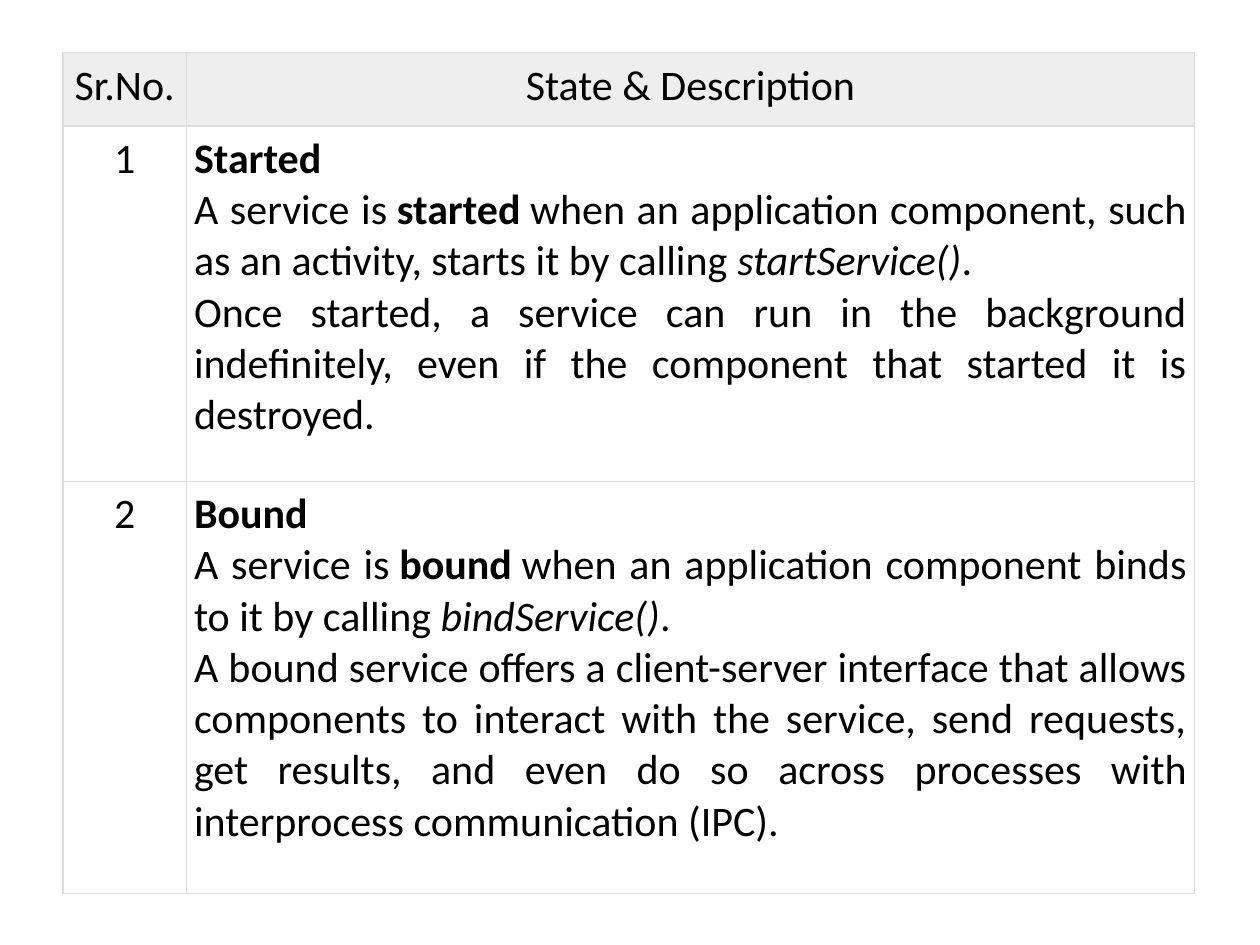
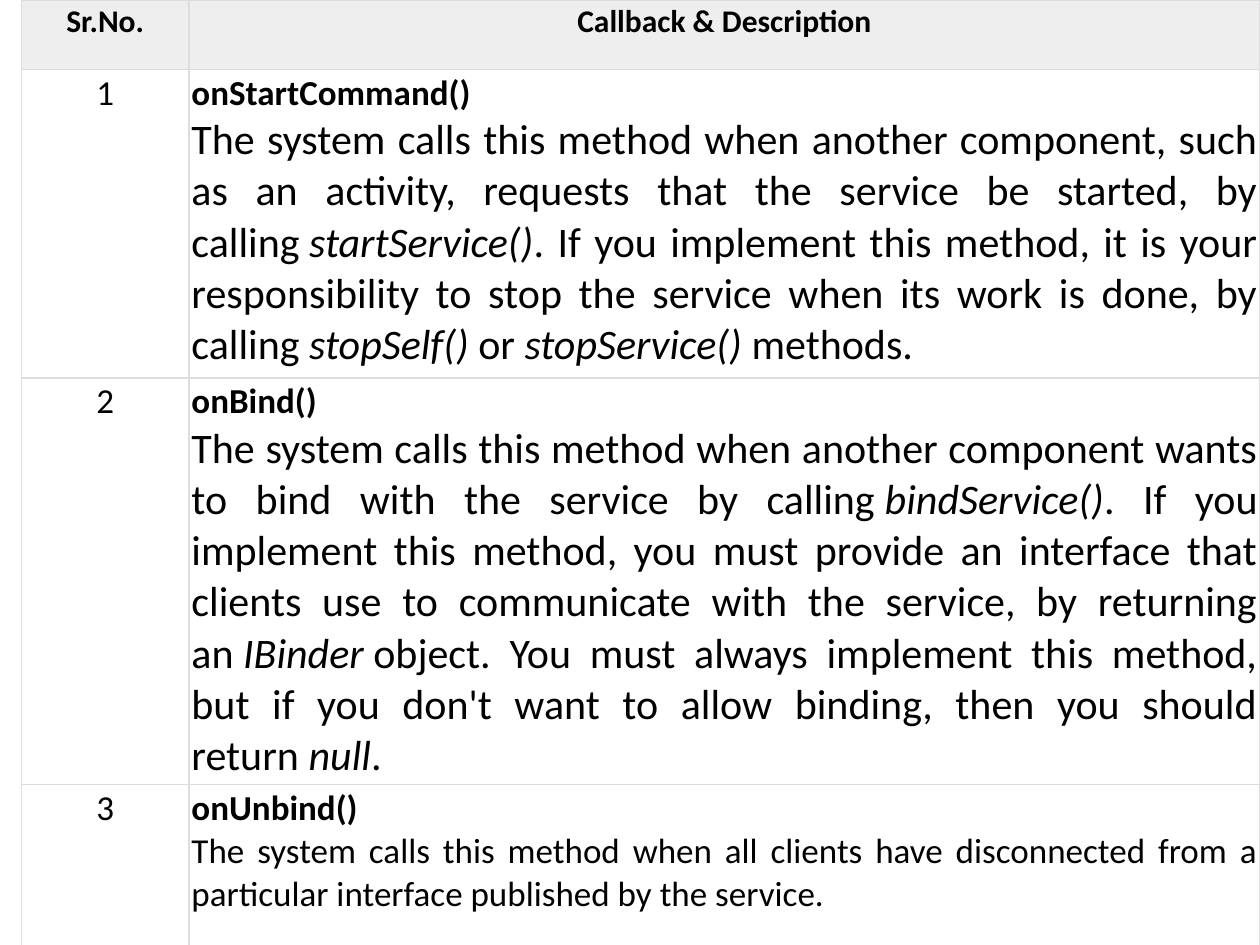
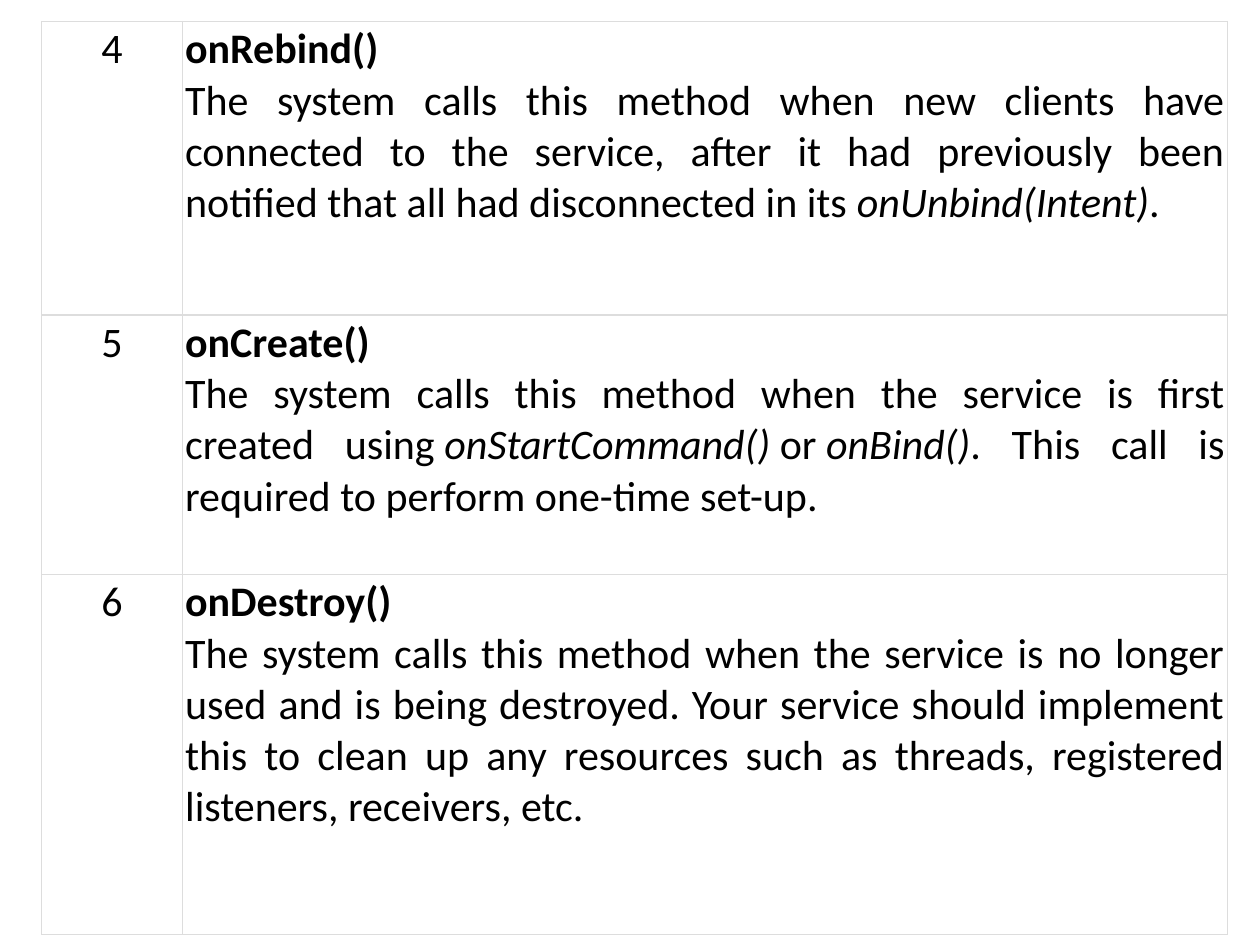
from pptx import Presentation
from pptx.dml.color import RGBColor
from pptx.enum.text import MSO_ANCHOR, PP_ALIGN
from pptx.oxml.ns import qn
from pptx.util import Inches, Pt
from lxml import etree

CENTER, JUSTIFY = PP_ALIGN.CENTER, PP_ALIGN.JUSTIFY
TOP = MSO_ANCHOR.TOP
BLACK = RGBColor(0x00, 0x00, 0x00)
HEADER_GRAY = RGBColor(0xEE, 0xEE, 0xEE)
BORDER_GRAY = RGBColor(0xDD, 0xDD, 0xDD)
FONT = "Calibri"
BORDER_WIDTH = Pt(0.75)
BLANK_LAYOUT = 6

STATES = [
    ("1", "Started", [
        "A service is\u00a0*started*\u00a0when an application component, such as an "
        "activity, starts it by calling\u00a0_startService()_. ",
        "Once started, a service can run in the background indefinitely, even if the "
        "component that started it is destroyed."], 24),
    ("2", "Bound", [
        "A service is\u00a0*bound*\u00a0when an application component binds to it by "
        "calling\u00a0_bindService()_. ",
        "A bound service offers a client-server interface that allows components to "
        "interact with the service, send requests, get results, and even do so across "
        "processes with interprocess communication (IPC)."], 24),
]

START_AND_BIND_CALLBACKS = [
    ("1", "onStartCommand()", [
        "The system calls this method when another component, such as an activity, "
        "requests that the service be started, by calling\u00a0_startService()_. If you "
        "implement this method, it is your responsibility to stop the service when its "
        "work is done, by calling\u00a0_stopSelf()_\u00a0or\u00a0_stopService()_"
        "\u00a0methods."], 24),
    ("2", "onBind()", [
        "The system calls this method when another component wants to bind with the "
        "service by calling\u00a0_bindService()_. If you implement this method, you must "
        "provide an interface that clients use to communicate with the service, by "
        "returning an\u00a0_IBinder_\u00a0object. You must always implement this method, "
        "but if you don't want to allow binding, then you should "
        "return\u00a0_null_."], 24),
    ("3", "onUnbind()", [
        "The system calls this method when all clients have disconnected from a "
        "particular interface published by the service."], 20),
]

LIFECYCLE_CALLBACKS = [
    ("4", "onRebind()", [
        "The system calls this method when new clients have connected to the service, "
        "after it had previously been notified that all had disconnected in "
        "its\u00a0_onUnbind(Intent)_."], 24),
    ("5", "onCreate()", [
        "The system calls this method when the service is first created "
        "using\u00a0_onStartCommand()_\u00a0or\u00a0_onBind()_. This call is required to "
        "perform one-time set-up."], 24),
    ("6", "onDestroy()", [
        "The system calls this method when the service is no longer used and is being "
        "destroyed. Your service should implement this to clean up any resources such as "
        "threads, registered listeners, receivers, etc."], 24),
]


def set_attributes(target, values):
    for name, value in values.items():
        setattr(target, name, value)


def add_run(paragraph, text, size, bold, italic):
    run = paragraph.add_run()
    run.text = text
    set_attributes(run.font, {"name": FONT, "size": Pt(size), "bold": bold, "italic": italic})
    run.font.color.rgb = BLACK


def write_marked_text(paragraph, text, size):
    for bold_index, piece in enumerate(text.split("*")):
        for italic_index, part in enumerate(piece.split("_")):
            if part:
                add_run(paragraph, part, size, bold_index % 2 == 1, italic_index % 2 == 1)


def add_borders(cell):
    properties = cell._tc.get_or_add_tcPr()
    for side in ("a:lnL", "a:lnR", "a:lnT", "a:lnB"):
        line = etree.SubElement(properties, qn(side), w=str(BORDER_WIDTH))
        fill = etree.SubElement(line, qn("a:solidFill"))
        etree.SubElement(fill, qn("a:srgbClr"), val=str(BORDER_GRAY))


def write_cell(cell, lines, alignment, inset, fill_color=None):
    margins = ("margin_left", "margin_top", "margin_right", "margin_bottom")
    set_attributes(cell, dict.fromkeys(margins, Inches(inset)))
    cell.vertical_anchor = TOP
    add_borders(cell)
    if fill_color is None:
        cell.fill.background()
    else:
        cell.fill.solid()
        cell.fill.fore_color.rgb = fill_color
    for index, (text, size) in enumerate(lines):
        frame = cell.text_frame
        paragraph = frame.add_paragraph() if index else frame.paragraphs[0]
        paragraph.alignment = alignment
        write_marked_text(paragraph, text, size)


def add_description_table(slide, box, column_widths, row_heights, entries,
                          label_size, inset, headers=(), header_size=None):
    shape = slide.shapes.add_table(len(row_heights), len(column_widths),
                                   *(Inches(length) for length in box))
    table = shape.table
    set_attributes(table, {"first_row": False, "horz_banding": False})
    for column, width in zip(table.columns, column_widths):
        column.width = Inches(width)
    for row, height in zip(table.rows, row_heights):
        row.height = Inches(height)
    for index, header in enumerate(headers):
        write_cell(table.cell(0, index), [(header, header_size)], CENTER, inset, HEADER_GRAY)
    first_entry_row = 1 if headers else 0
    for row, (number, name, texts, text_size) in enumerate(entries, first_entry_row):
        write_cell(table.cell(row, 0), [(number, label_size)], CENTER, inset)
        description = [(f"*{name}*", label_size)] + [(text, text_size) for text in texts]
        write_cell(table.cell(row, 1), description, JUSTIFY, inset)


TABLES = [
    {"box": (0.5, 0.42, 8.98, 6.67), "column_widths": (0.98, 8),
     "row_heights": (0.58, 2.82, 3.27), "entries": STATES, "label_size": 24,
     "inset": 0.06, "headers": ("Sr.No.", "State & Description"), "header_size": 24},
    {"box": (0.17, 0, 9.83, 7.43), "column_widths": (1.33, 8.5),
     "row_heights": (0.55, 2.45, 2.93, 1.5), "entries": START_AND_BIND_CALLBACKS,
     "label_size": 20, "inset": 0.02,
     "headers": ("*Sr.No.*", "*Callback & Description*"), "header_size": 18},
    {"box": (0.33, 0.17, 9.42, 7.25), "column_widths": (1.12, 8.29),
     "row_heights": (2.33, 2.06, 2.86), "entries": LIFECYCLE_CALLBACKS,
     "label_size": 24, "inset": 0.02},
]

presentation = Presentation()
set_attributes(presentation, {"slide_width": Inches(10), "slide_height": Inches(7.5)})
for table_values in TABLES:
    new_slide = presentation.slides.add_slide(presentation.slide_layouts[BLANK_LAYOUT])
    add_description_table(new_slide, **table_values)
presentation.save("out.pptx")
